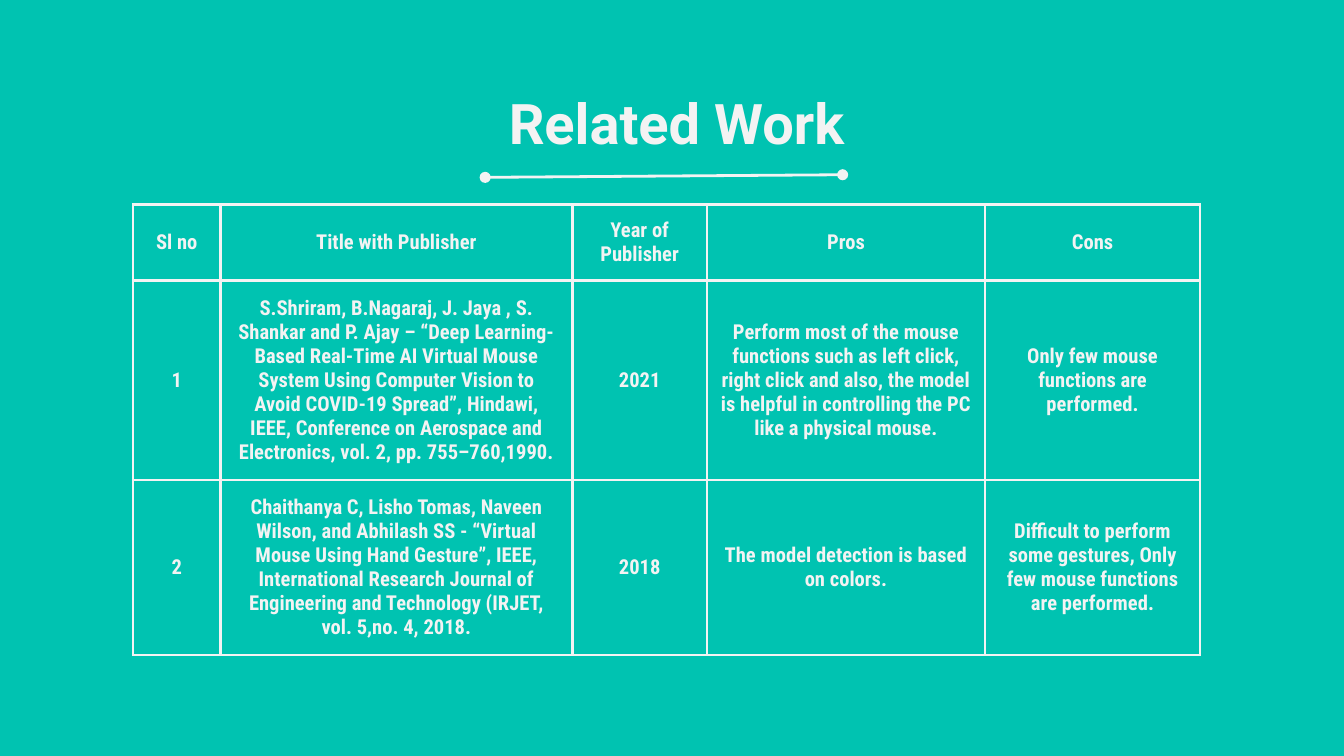
from dataclasses import dataclass
from itertools import product
from lxml import etree
from pptx import Presentation, util as u
from pptx.dml.color import RGBColor as Rgb
from pptx.enum import shapes, text
from pptx.oxml.ns import qn

# Content
TITLE = "Related Work"
ROWS = [
    ("Sl no", "Title with Publisher", "Year of Publisher", "Pros", "Cons"),
    ("1",
     "S.Shriram, B.Nagaraj, J. Jaya , S. Shankar and P. Ajay – “Deep Learning-Based "
     "Real-Time AI Virtual Mouse System Using Computer Vision to Avoid COVID-19 Spread”, "
     "Hindawi, IEEE, Conference on Aerospace and Electronics, vol. 2, pp. 755–760,1990.",
     "2021",
     "Perform most of the mouse functions such as left click, right click and also, "
     "the model is helpful in controlling the PC like a physical mouse.",
     "Only few mouse functions are performed."),
    ("2",
     "Chaithanya C, Lisho Tomas, Naveen Wilson, and Abhilash SS - “Virtual Mouse Using "
     "Hand Gesture”, IEEE, International Research Journal of Engineering and Technology "
     "(IRJET, vol. 5,no. 4, 2018.",
     "2018",
     "The model detection is based on colors.",
     "Difficult to perform some gestures, Only few mouse functions are performed."),
]

# Grid, in inches; the slide is 16:9
WIDE = 10
SIZE = (WIDE, WIDE * 9 / 16)
HEAD = (0.82, 0.56, 8.43, 0.63)
RULE = (6.27, 1.3, 3.61, 1.32)
LEFT, TOP = 0.99, 1.52
COLS = (0.65, 2.62, 1, 2.07, 1.6)
TALL = (0.56, 1.48, 1.29)
PAD = u.Inches(0.1)


@dataclass(frozen=True)
class Theme:
    back: str = "00C3B1"
    ink: str = "F3F3F3"
    head: str = "Roboto"
    body: str = "Roboto Condensed"
    big: float = 30
    small: float = 11
    line: float = 1.5


T = Theme()


def write(part, words, font=T.body, size=T.small):
    """Put one bold, centred paragraph in a padded text frame or cell."""
    part.margin_left = part.margin_right = PAD
    part.margin_top = part.margin_bottom = PAD
    frame = getattr(part, "text_frame", part)
    frame.word_wrap = True
    para = frame.paragraphs[0]
    para.alignment = text.PP_ALIGN.CENTER
    run = para.add_run()
    run.text = words
    run.font.name, run.font.size, run.font.bold = font, u.Pt(size), True
    run.font.color.rgb = Rgb.from_string(T.ink)


def edge(cell):
    """Draw all four borders of a table cell."""
    props = cell._tc.get_or_add_tcPr()
    for i, side in enumerate(("lnL", "lnR", "lnT", "lnB")):
        line = etree.Element(qn("a:" + side), w=str(u.Pt(T.line)))
        fill = etree.SubElement(line, qn("a:solidFill"))
        etree.SubElement(fill, qn("a:srgbClr"), val=T.ink)
        props.insert(i, line)


deck = Presentation()
deck.slide_width, deck.slide_height = map(u.Inches, SIZE)
slide = deck.slides.add_slide(deck.slide_layouts[6])
slide.background.fill.solid()
slide.background.fill.fore_color.rgb = Rgb.from_string(T.back)

# Title
box = slide.shapes.add_textbox(*map(u.Inches, HEAD))
write(box.text_frame, TITLE, font=T.head, size=T.big)

# Rule with round ends
rule = slide.shapes.add_connector(shapes.MSO_CONNECTOR.STRAIGHT, *map(u.Inches, RULE))
rule.line.color.rgb = Rgb.from_string(T.ink)
rule.line.width = u.Pt(T.line)
for end in ("headEnd", "tailEnd"):
    etree.SubElement(rule.line._get_or_add_ln(), qn("a:" + end), type="oval")
etree.SubElement(rule._element.spPr, qn("a:effectLst"))

# Table
area = map(u.Inches, (LEFT, TOP, sum(COLS), sum(TALL)))
table = slide.shapes.add_table(len(TALL), len(COLS), *area).table
table.first_row = table.horz_banding = False
for col, wide in zip(table.columns, COLS):
    col.width = u.Inches(wide)
for row, high in zip(table.rows, TALL):
    row.height = u.Inches(high)
for r, c in product(range(len(TALL)), range(len(COLS))):
    cell = table.cell(r, c)
    cell.fill.background()
    cell.vertical_anchor = text.MSO_ANCHOR.MIDDLE
    write(cell, ROWS[r][c])
    edge(cell)

deck.save("out.pptx")
